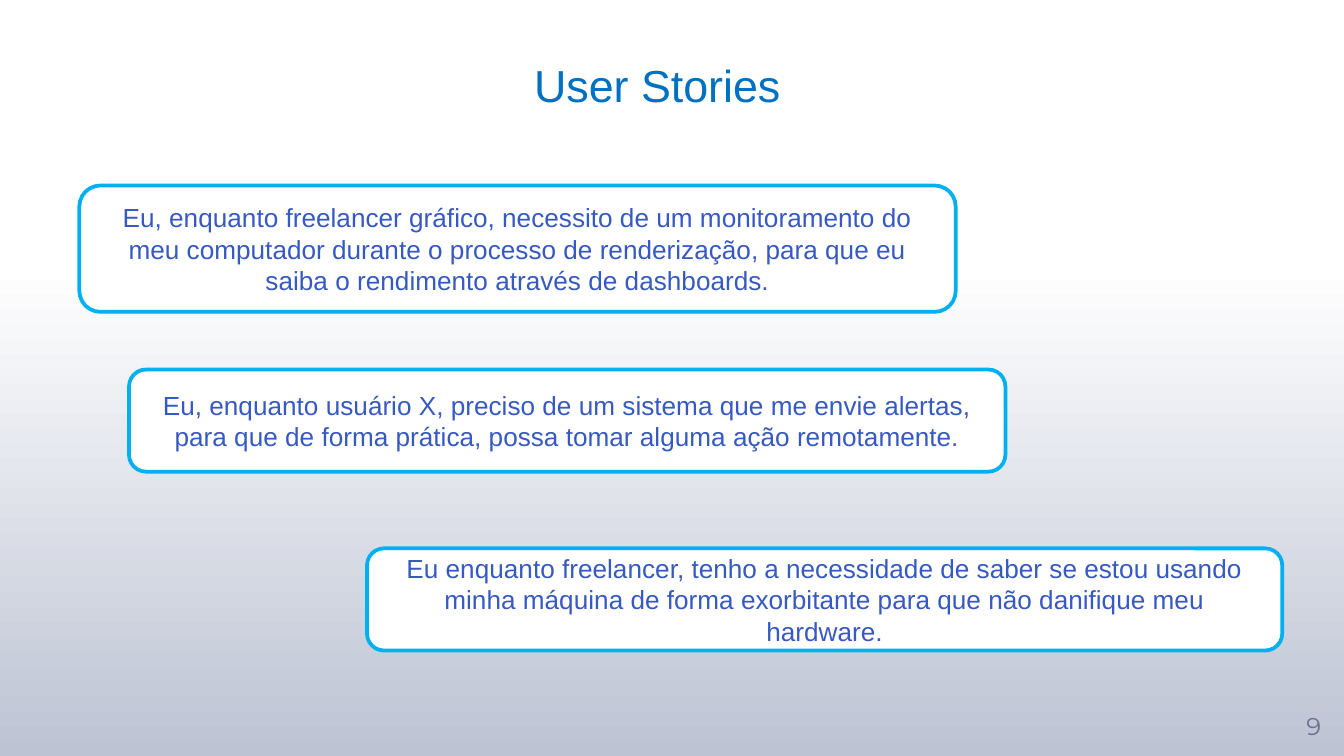
from dataclasses import dataclass

from pptx import Presentation
from pptx.dml.color import RGBColor
from pptx.enum.shapes import MSO_SHAPE
from pptx.enum.text import MSO_ANCHOR, MSO_AUTO_SIZE, PP_ALIGN
from pptx.slide import Slide
from pptx.text.text import TextFrame
from pptx.util import Pt

ROUNDED = MSO_SHAPE.ROUNDED_RECTANGLE
CENTER = PP_ALIGN.CENTER
TOP = MSO_ANCHOR.TOP
MIDDLE = MSO_ANCHOR.MIDDLE
NO_AUTOFIT = MSO_AUTO_SIZE.NONE
TITLE_ONLY = 5


@dataclass(frozen=True)
class TextStyle:
    font: str
    size: float
    color: str


@dataclass(frozen=True)
class Theme:
    title: TextStyle = TextStyle("Arial", 24, "0070C0")
    story: TextStyle = TextStyle("Arial", 14, "3659C2")
    number: TextStyle = TextStyle("Montserrat", 13, "68728D")
    card_fill: str = "FFFFFF"
    card_line: str = "00B0F0"
    card_line_width: float = 2
    background_top: str = "FFFFFF"
    background_bottom: str = "BDC3D3"


@dataclass(frozen=True)
class Story:
    left: float
    top: float
    width: float
    height: float
    text: str


THEME = Theme()
STORIES = [
    Story(42.5, 99.4, 469.5, 67.7,
          "Eu, enquanto freelancer gráfico, necessito de um monitoramento do meu "
          "computador durante o processo de renderização, para que eu saiba o "
          "rendimento através de dashboards."),
    Story(69.1, 198, 469.5, 54.7,
          "Eu, enquanto usuário X, preciso de um sistema que me envie alertas, "
          "para que de forma prática, possa tomar alguma ação remotamente."),
    Story(196.6, 293.8, 490.3, 54.7,
          "Eu enquanto freelancer, tenho a necessidade de saber se estou usando "
          "minha máquina de forma exorbitante para que não danifique meu hardware."),
]


def color(value: str) -> RGBColor:
    return RGBColor.from_string(value)


def write(frame: TextFrame, text: str, style: TextStyle, anchor: MSO_ANCHOR) -> None:
    frame.text = text
    frame.word_wrap = True
    frame.auto_size = NO_AUTOFIT
    frame.vertical_anchor = anchor
    para = frame.paragraphs[0]
    para.alignment = CENTER
    para.font.name = style.font
    para.font.size = Pt(style.size)
    para.font.color.rgb = color(style.color)


def paint_background(page: Slide) -> None:
    fill = page.background.fill
    fill.gradient()
    fill.gradient_angle = 270
    start, end = fill.gradient_stops
    start.position, end.position = 0.35, 1
    start.color.rgb = color(THEME.background_top)
    end.color.rgb = color(THEME.background_bottom)


def add_title(page: Slide, text: str) -> None:
    title = page.shapes.title
    title.left, title.top = Pt(23.8), Pt(27.4)
    title.width, title.height = Pt(656.6), Pt(36)
    write(title.text_frame, text, THEME.title, TOP)


def add_page_number(page: Slide, number: int) -> None:
    box = page.shapes.add_textbox(Pt(687.6), Pt(373), Pt(32.4), Pt(32))
    frame = box.text_frame
    frame.margin_left = frame.margin_right = 0
    frame.margin_top = frame.margin_bottom = 0
    write(frame, str(number), THEME.number, MIDDLE)


def add_story(page: Slide, story: Story) -> None:
    card = page.shapes.add_shape(
        ROUNDED, Pt(story.left), Pt(story.top), Pt(story.width), Pt(story.height))
    card.shadow.inherit = False
    card.fill.solid()
    card.fill.fore_color.rgb = color(THEME.card_fill)
    card.line.color.rgb = color(THEME.card_line)
    card.line.width = Pt(THEME.card_line_width)
    write(card.text_frame, story.text, THEME.story, MIDDLE)


def main() -> None:
    deck = Presentation()
    deck.slide_width, deck.slide_height = Pt(720), Pt(405)
    page = deck.slides.add_slide(deck.slide_layouts[TITLE_ONLY])
    paint_background(page)
    add_page_number(page, 9)
    add_title(page, "User Stories")
    for story in STORIES:
        add_story(page, story)
    deck.save("out.pptx")


if __name__ == "__main__":
    main()
